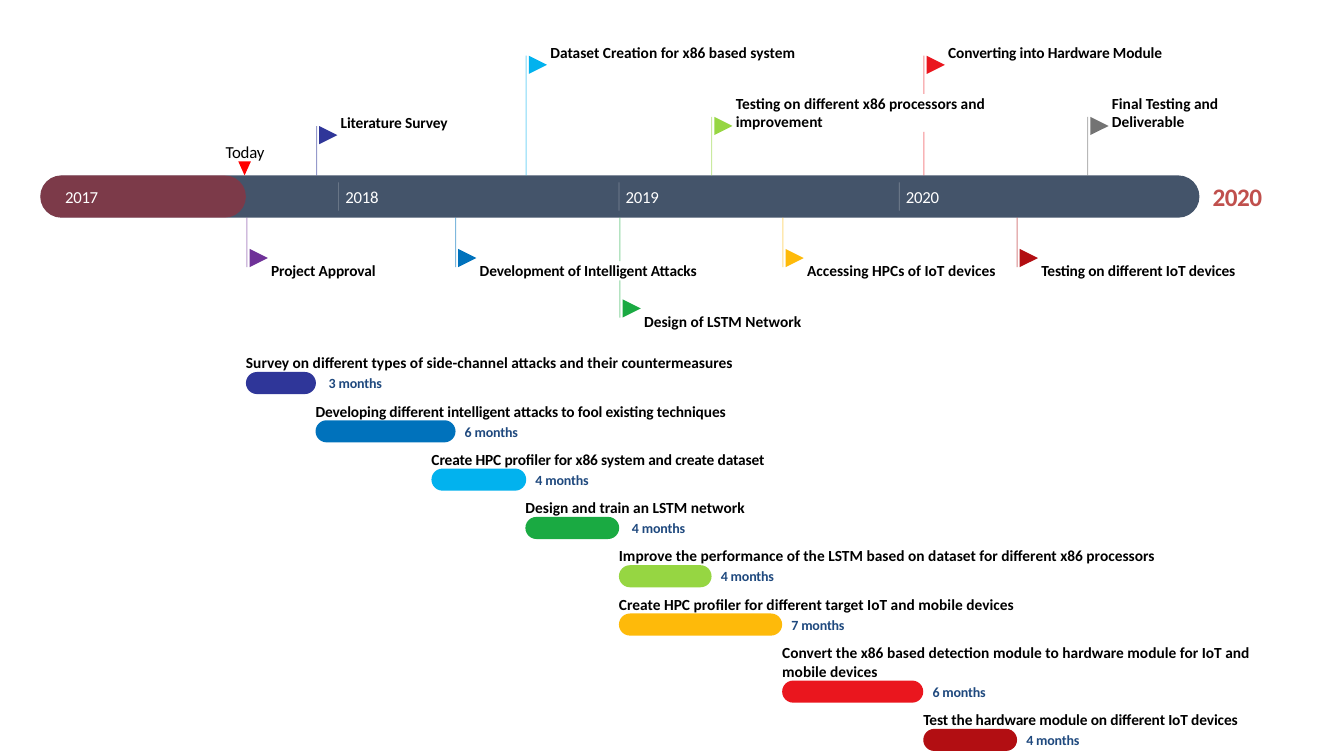
from dataclasses import dataclass

from lxml import etree
from pptx import Presentation
from pptx.dml.color import RGBColor
from pptx.enum.shapes import MSO_CONNECTOR, MSO_SHAPE
from pptx.enum.text import MSO_ANCHOR, PP_ALIGN
from pptx.oxml.ns import qn
from pptx.util import Pt

STRAIGHT = MSO_CONNECTOR.STRAIGHT
ROUNDED = MSO_SHAPE.ROUNDED_RECTANGLE
TRIANGLE = MSO_SHAPE.ISOSCELES_TRIANGLE
FLAG = MSO_SHAPE.FLOWCHART_MERGE
LEFT, CENTER = PP_ALIGN.LEFT, PP_ALIGN.CENTER
MIDDLE = MSO_ANCHOR.MIDDLE

COLORS = {
    "black": "000000", "white": "FFFFFF", "slate": "44546A", "marker": "FF0000",
    "end_year": "C0504D", "months": "1F497E", "indigo": "2F3699", "blue": "0072BC",
    "sky": "02B2EE", "green": "1AAA42", "lime": "96D642", "amber": "FEBA0A",
    "red": "EA161E", "dark_red": "B20E12", "purple": "6F3198", "gray": "737373",
}

BAR_X, BAR_Y, BAR_W, BAR_H = 28.8, 125.3, 828, 30.2
BAR_MID, BAR_BOTTOM = BAR_X + BAR_W / 2, BAR_Y + BAR_H
TODAY_X = 175.7
LINE_H = 13.4
FLAG_SIZE = 13
YEAR_X, YEAR_STEP = 46.5, 200.2
TASK_Y, TASK_STEP, TASK_H = 265.7, 34.5, 15.8


@dataclass
class Style:
    size: float
    color: str
    bold: bool = False
    align: PP_ALIGN = LEFT
    wrap: bool = True
    spacing: float = 0


@dataclass
class Milestone:
    x: float
    flag_y: float
    color: str
    text: str
    label_w: float
    spacing: float = 0
    lines: int = 1
    gap: tuple[float, float] | None = None  # break in the pole where a label crosses


@dataclass
class Task:
    x: float
    w: float
    color: str
    text: str
    label_w: float
    months: int
    spacing: float = 0
    lines: int = 1
    months_w: float = 44


MILESTONES = [
    Milestone(226.1, 90, "indigo", "Literature Survey", 78, -0.1),
    Milestone(375.8, 39.8, "sky", "Dataset Creation for x86 based system", 177),
    Milestone(508.3, 83.5, "lime", "Testing on different x86 processors and improvement",
              181, lines=2),
    Milestone(660, 39.8, "red", "Converting into Hardware Module", 157, -0.1, gap=(67, 94.3)),
    Milestone(776.9, 83.5, "gray", "Final Testing and Deliverable", 79, lines=2),
    Milestone(176.4, 177.8, "purple", "Project Approval", 78, -0.1),
    Milestone(325.4, 177.8, "blue", "Development of Intelligent Attacks", 158, -0.1),
    Milestone(BAR_MID, 213.8, "green", "Design of LSTM Network", 114, gap=(186.5, 200.2)),
    Milestone(559.2, 177.8, "amber", "Accessing HPCs of IoT devices", 136),
    Milestone(726.5, 177.8, "dark_red", "Testing on different IoT devices", 143, -0.1),
]

TASKS = [
    Task(TODAY_X, 50, "indigo", "Survey on different types of side-channel attacks and "
         "their countermeasures", 350, 3, months_w=49),
    Task(225.4, 100, "blue", "Developing different intelligent attacks to fool existing "
         "techniques", 303, 6, -0.1),
    Task(308.2, 67.7, "sky", "Create HPC profiler for x86 system and create dataset",
         245, 4, -0.1),
    Task(375.3, 67, "green", "Design and train an LSTM network", 159, 4, months_w=49),
    Task(442.1, 66.2, "lime", "Improve the performance of the LSTM based on dataset for "
         "different x86 processors", 385, 4),
    Task(442.1, 116.6, "amber", "Create HPC profiler for different target IoT and mobile "
         "devices", 284, 7),
    Task(558.7, 100.8, "red", "Convert the x86 based detection module to hardware module "
         "for IoT and mobile devices", 336, 6, lines=2),
    Task(659.5, 67, "dark_red", "Test the hardware module on different IoT devices",
         231, 4, -0.1),
]


def rgb(name: str) -> RGBColor:
    return RGBColor.from_string(COLORS[name])


def set_alpha(element, percent: int) -> None:
    """Make the solid colour inside an element partly transparent."""
    color = next(element.iter(qn("a:srgbClr")))
    etree.SubElement(color, qn("a:alpha")).set("val", str(percent * 1000))


def add_shape(s, kind, x: float, y: float, w: float, h: float, color: str,
              rotation: float = 0):
    sp = s.shapes.add_shape(kind, Pt(x), Pt(y), Pt(w), Pt(h))
    sp.shadow.inherit = False
    sp.fill.solid()
    sp.fill.fore_color.rgb = rgb(color)
    sp.line.fill.background()
    sp.rotation = rotation
    if kind == ROUNDED:
        sp.adjustments[0] = 0.5
    return sp


def add_vertical(s, x: float, top: float, bottom: float, color: str,
                 width: float, alpha: int):
    line = s.shapes.add_connector(STRAIGHT, Pt(x), Pt(top), Pt(x), Pt(bottom))
    line.line.width = Pt(width)
    line.line.color.rgb = rgb(color)
    set_alpha(line.line._get_or_add_ln(), alpha)
    etree.SubElement(line._element.spPr, qn("a:effectLst"))
    return line


def add_text(s, x: float, y: float, w: float, h: float, text: str, style: Style) -> None:
    tf = s.shapes.add_textbox(Pt(x), Pt(y), Pt(w), Pt(h)).text_frame
    frame = {"margin_left": 0, "margin_right": 0, "margin_top": 0, "margin_bottom": 0,
             "vertical_anchor": MIDDLE, "word_wrap": style.wrap}
    for name, value in frame.items():
        setattr(tf, name, value)
    p = tf.paragraphs[0]
    p.alignment = style.align
    r = p.add_run()
    r.text = text
    font = {"name": "Calibri", "size": Pt(style.size), "bold": style.bold}
    for name, value in font.items():
        setattr(r.font, name, value)
    r.font.color.rgb = rgb(style.color)
    if style.spacing:
        r._r.get_or_add_rPr().set("spc", str(round(style.spacing * 100)))


def add_year_bar(s):
    bar = add_shape(s, ROUNDED, BAR_X, BAR_Y, BAR_W, BAR_H, "slate")
    elapsed = add_shape(s, ROUNDED, BAR_X, BAR_Y, TODAY_X - BAR_X, BAR_H, "marker")
    set_alpha(elapsed._element.spPr, 30)
    add_shape(s, TRIANGLE, 170.2, 115.3, 9, 10, "marker", 180)
    add_text(s, 160.9, 101.1, 28.4, 14.4, "Today",
             Style(12, "black", align=CENTER, wrap=False, spacing=-0.1))
    add_text(s, 866.2, 129, 35.3, 22.3, "2020",
             Style(18, "end_year", True, CENTER, False, -0.4))
    for i in range(4):
        x = YEAR_X + i * YEAR_STEP
        if i:
            add_vertical(s, x - 4.8, 130.3, 150.5, "white", 0.5, 30)
        add_text(s, x, 133.2, 24, 14.4, str(2017 + i),
                 Style(12, "white", wrap=False, spacing=-0.2))
    return bar


def add_milestone(s, bar, m: Milestone) -> None:
    above = m.flag_y < BAR_Y
    top, bottom = (m.flag_y, BAR_Y) if above else (BAR_BOTTOM, m.flag_y + FLAG_SIZE)
    stops = [top, *(m.gap or ()), bottom]
    for start, end in zip(stops[::2], stops[1::2]):
        pole = add_vertical(s, m.x, start, end, m.color, 0.75, 50)
        if m.x == BAR_MID and start == BAR_BOTTOM:
            pole.begin_connect(bar, 2)
    add_shape(s, FLAG, m.x + 1.9, m.flag_y, FLAG_SIZE, FLAG_SIZE, m.color, 270)
    label_y = m.flag_y + (-2 - 7.3 * m.lines if above else 8.7)
    add_text(s, m.x + 17.3, label_y, m.label_w, LINE_H * m.lines, m.text,
             Style(11, "black", True, spacing=m.spacing))


def add_task(s, y: float, t: Task) -> None:
    add_shape(s, ROUNDED, t.x, y, t.w, TASK_H, t.color)
    label_h = LINE_H * t.lines
    add_text(s, t.x, y - label_h, t.label_w, label_h, t.text,
             Style(11, "black", True, spacing=t.spacing))
    add_text(s, t.x + t.w + 3.6, y + 1.9, t.months_w, 12.2, f"{t.months} months",
             Style(10, "months", True, CENTER, spacing=-0.1))


def main() -> None:
    prs = Presentation()
    prs.slide_width, prs.slide_height = Pt(960), Pt(540)
    s = prs.slides.add_slide(prs.slide_layouts[6])
    bar = add_year_bar(s)
    for m in MILESTONES:
        add_milestone(s, bar, m)
    y = TASK_Y
    for t in TASKS:
        y += (t.lines - 1) * LINE_H
        add_task(s, y, t)
        y += TASK_STEP
    prs.save("out.pptx")


if __name__ == "__main__":
    main()
